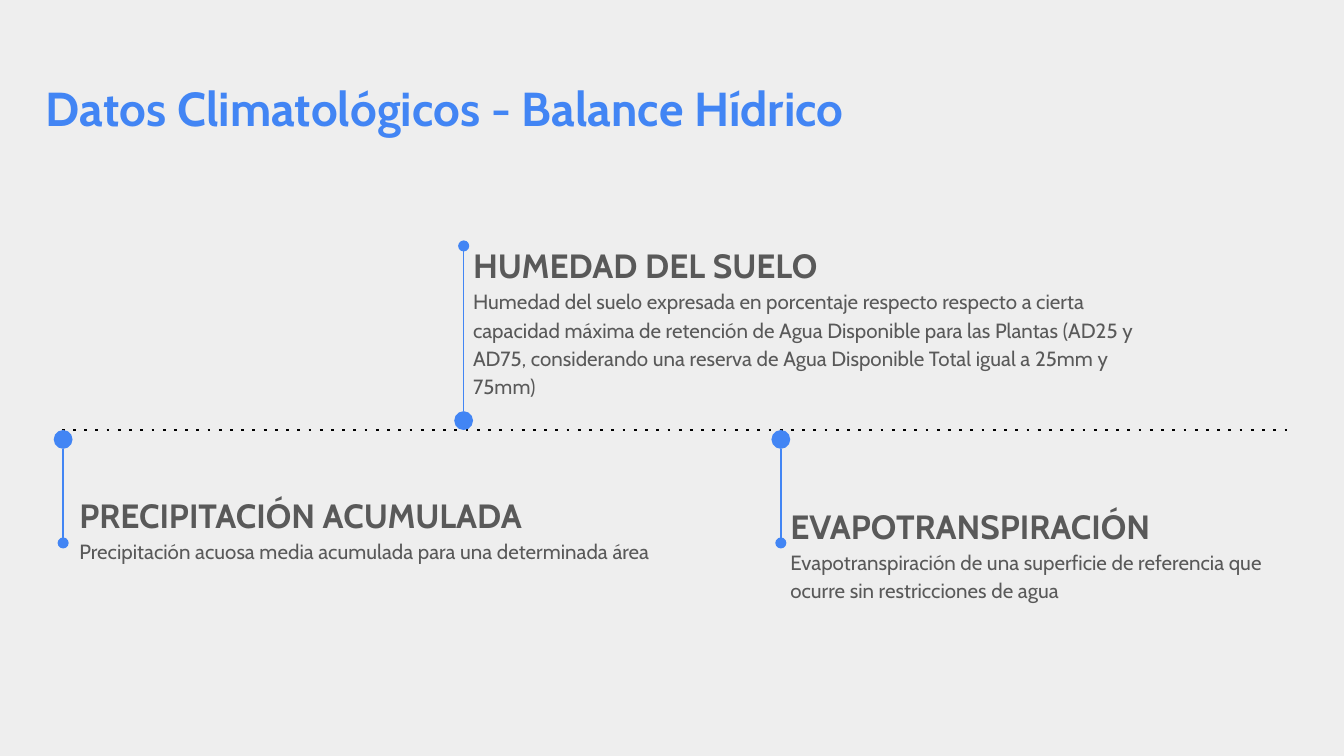
from lxml import etree
from pptx import Presentation
from pptx import util as u
from pptx.dml import color
from pptx.enum import shapes, text
from pptx.oxml import ns

HUES = {"back": "EEEEEE", "blue": "4285F4", "gray": "595959", "black": "000000"}
HEAD = {"size": u.Pt(18), "bold": True}
BODY = {"size": u.Pt(11), "bold": False}
WIDE = 10
HIGH = WIDE * 9 / 16
AXIS = 3.2
DOT = 0.14


def tint(name):
    return color.RGBColor.from_string(HUES[name])


def apply(item, style):
    for key, value in style.items():
        setattr(item, key, value)


class Deck:
    def __init__(self, wide, high):
        self.show = Presentation()
        apply(self.show, {"slide_width": u.Inches(wide), "slide_height": u.Inches(high)})
        self.slide = self.show.slides.add_slide(self.show.slide_layouts[6])
        fill = self.slide.background.fill
        fill.solid()
        fill.fore_color.rgb = tint("back")
        self.font = "Cabin"

    def line(self, start, end, hue, width, tag, kind):
        points = [u.Inches(n) for n in (*start, *end)]
        link = self.slide.shapes.add_connector(shapes.MSO_CONNECTOR.STRAIGHT, *points)
        link.line.color.rgb = tint(hue)
        link.line.width = u.Pt(width)
        props = link._element.spPr
        mark = etree.SubElement(props.find(ns.qn("a:ln")), ns.qn(tag))
        mark.set("val" if tag == "a:prstDash" else "type", kind)
        etree.SubElement(props, ns.qn("a:effectLst"))

    def dot(self, left, top):
        box = [u.Inches(n) for n in (left, top, DOT, DOT)]
        disc = self.slide.shapes.add_shape(shapes.MSO_SHAPE.OVAL, *box)
        disc.shadow.inherit = False
        disc.fill.solid()
        disc.fill.fore_color.rgb = tint("blue")
        disc.line.fill.background()

    def pin(self, mid, rise, reach):
        self.dot(mid - DOT / 2, AXIS - DOT if rise else AXIS)
        sign = -1 if rise else 1
        near = AXIS + sign * DOT
        self.line((mid, near), (mid, near + sign * reach), "blue", 0.75, "a:tailEnd", "oval")

    def words(self, box, parts, hue, gap):
        frame = self.slide.shapes.add_textbox(*[u.Inches(n) for n in box]).text_frame
        apply(frame, {
            "word_wrap": True,
            "vertical_anchor": text.MSO_ANCHOR.TOP,
            "margin_left": 0,
            "margin_right": 0,
            "margin_top": u.Inches(0.1),
            "margin_bottom": u.Inches(0.1),
        })
        for i, (copy, style) in enumerate(parts):
            para = frame.add_paragraph() if i else frame.paragraphs[0]
            para.line_spacing = gap
            run = para.add_run()
            run.text = copy
            apply(run.font, {"name": self.font, **style})
            run.font.color.rgb = tint(hue)


def main():
    deck = Deck(WIDE, HIGH)
    deck.line((0.46, AXIS), (9.58, AXIS), "black", 1.5, "a:prstDash", "dot")
    title = ("Datos Climatológicos - Balance Hídrico", {"size": u.Pt(25.5), "bold": True})
    deck.words((0.34, 0.49, 9.32, 0.63), [title], "blue", 1.0)
    topics = [
        (0.47, False, 0.7, (0.59, 3.54, 4.57, 1.32), "PRECIPITACIÓN ACUMULADA",
         "Precipitación acuosa media acumulada para una determinada área"),
        (3.45, True, 1.23, (3.52, 1.68, 4.97, 1.69), "HUMEDAD DEL SUELO",
         "Humedad del suelo expresada en porcentaje respecto respecto a cierta "
         "capacidad máxima de retención de Agua Disponible para las Plantas (AD25 y "
         "AD75, considerando una reserva de Agua Disponible Total igual a 25mm y 75mm)"),
        (5.81, False, 0.7, (5.88, 3.62, 3.78, 1.32), "EVAPOTRANSPIRACIÓN",
         "Evapotranspiración de una superficie de referencia que ocurre sin "
         "restricciones de agua"),
    ]
    for mid, rise, reach, box, head, body in topics:
        deck.pin(mid, rise, reach)
        deck.words(box, [(head, HEAD), (body, BODY)], "gray", 1.15)
    deck.show.save("out.pptx")


if __name__ == "__main__":
    main()
